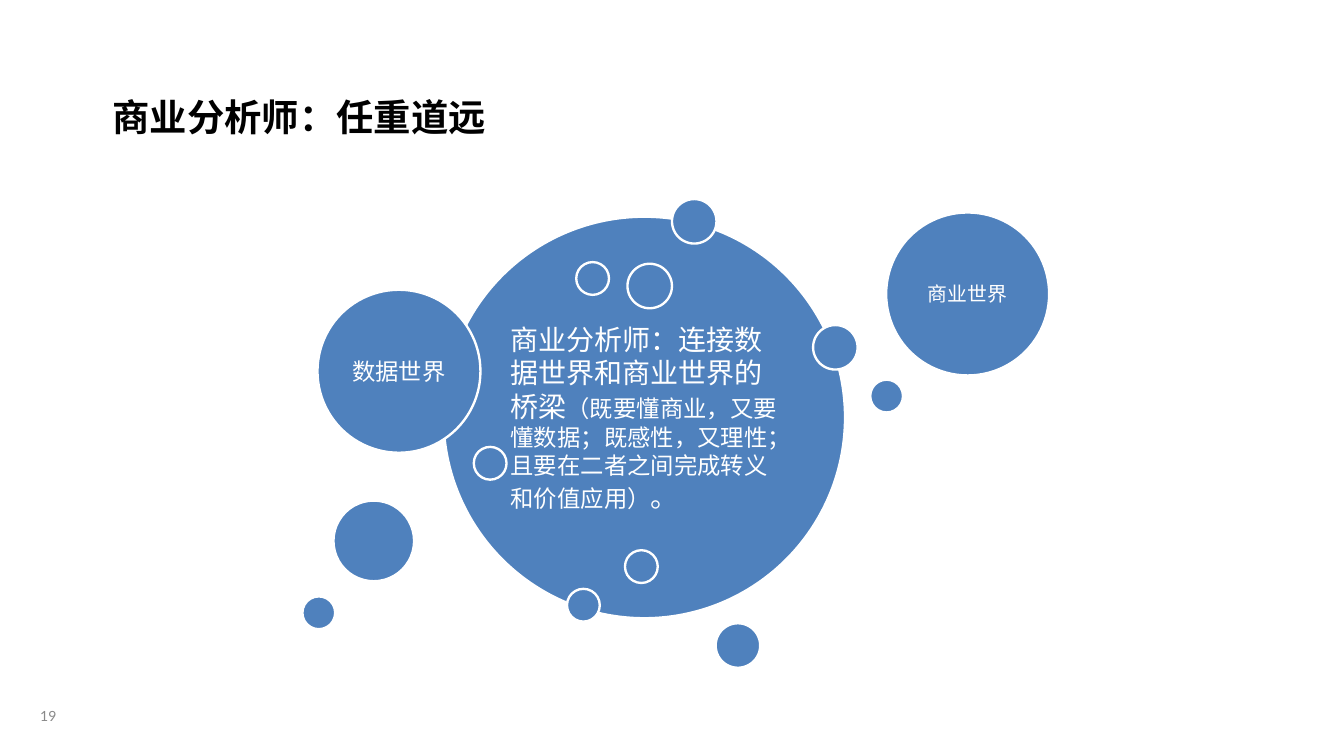
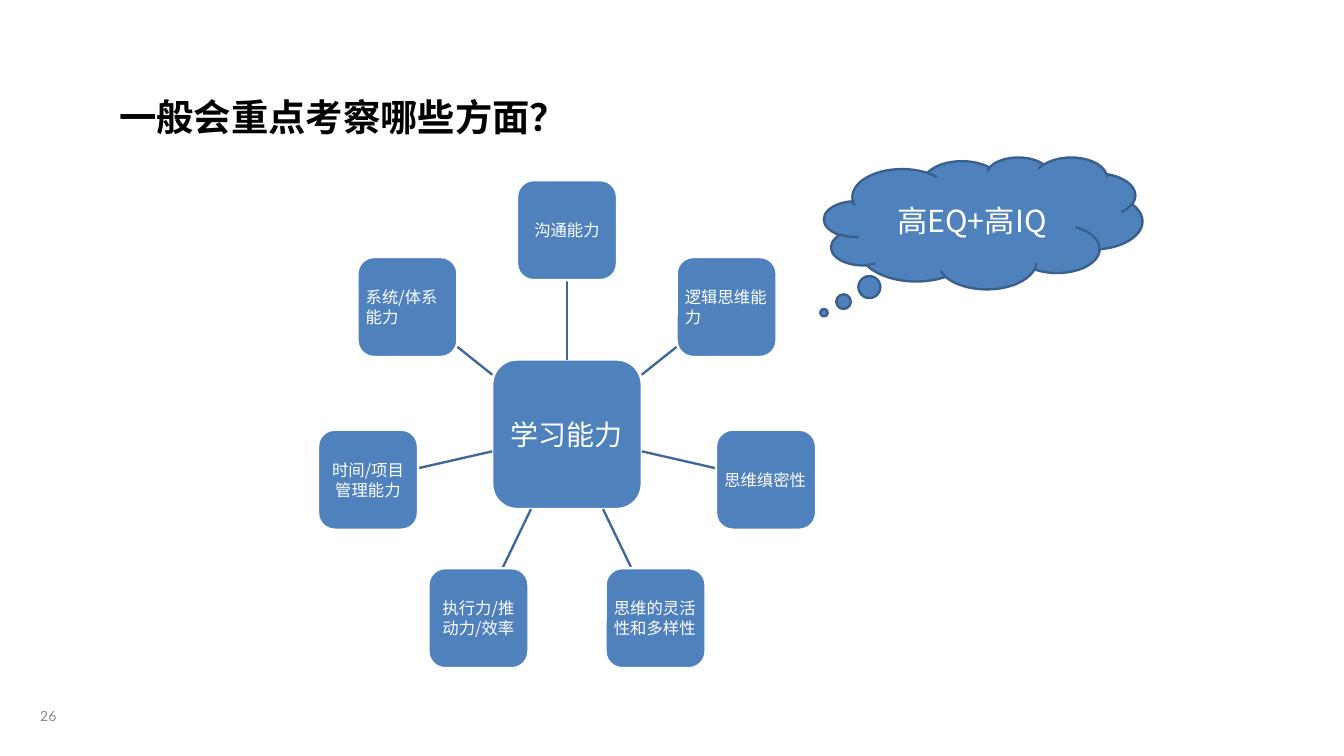
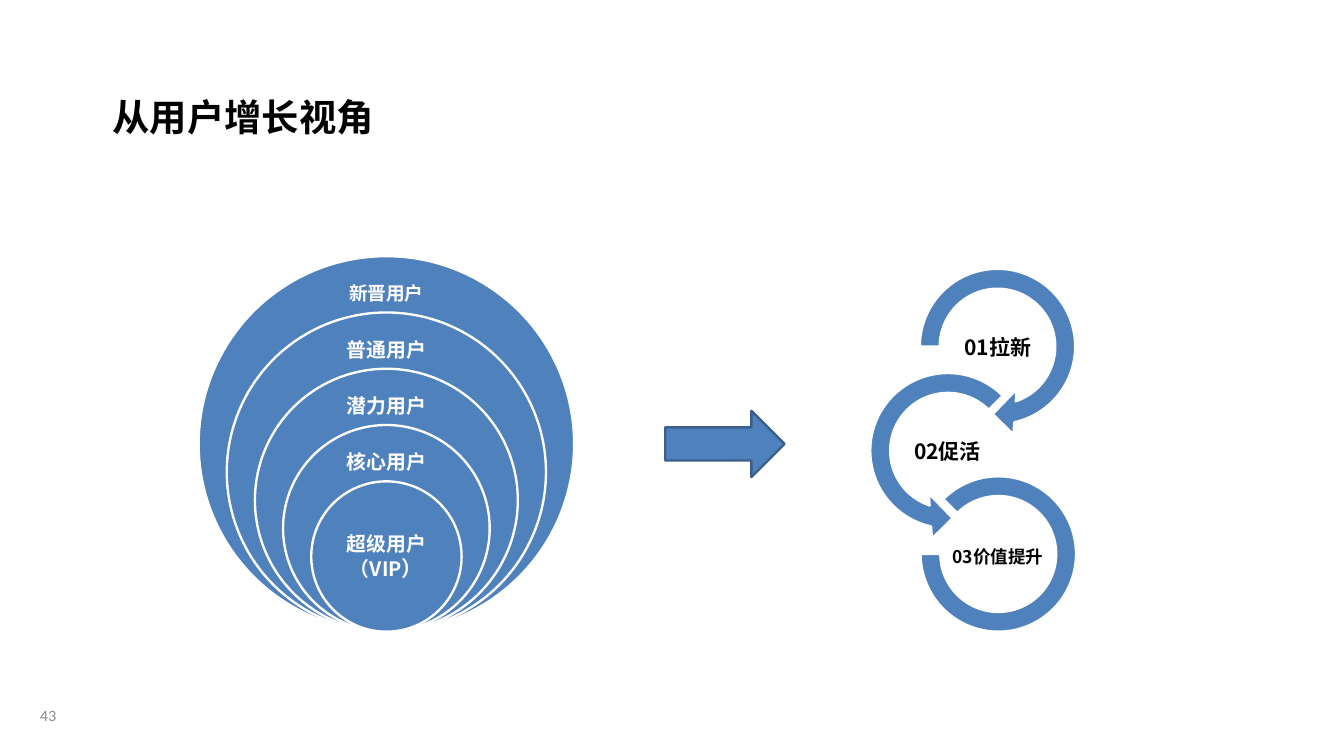
import math

import lxml.etree
import pptx
import pptx.dml.color
import pptx.enum.shapes
import pptx.enum.text
import pptx.oxml.ns
import pptx.util

RGBColor = pptx.dml.color.RGBColor
SHAPE = pptx.enum.shapes.MSO_SHAPE
ALIGN = pptx.enum.text.PP_ALIGN
ANCHOR = pptx.enum.text.MSO_ANCHOR
qn = pptx.oxml.ns.qn

BLUE = RGBColor(0x4F, 0x81, 0xBD)
EDGE = RGBColor(0x3A, 0x5F, 0x8C)
SPOKE = RGBColor(0x3F, 0x67, 0x97)
WHITE = RGBColor(0xFF, 0xFF, 0xFF)
BLACK = RGBColor(0, 0, 0)
GREY = RGBColor(0x89, 0x89, 0x89)
FONT = "Noto Sans CJK SC"

prs = pptx.Presentation()
prs.slide_width = pptx.util.Inches(16)
prs.slide_height = pptx.util.Inches(9)
COL = prs.slide_width / 16
ROW = prs.slide_height / 9


def draw(s, kind, x, y, w, h, line=WHITE, adj=()):
    box = round(x * COL), round(y * ROW), round(w * COL), round(h * ROW)
    if kind is None:
        return s.shapes.add_textbox(*box)
    sp = s.shapes.add_shape(kind, *box)
    sp.shadow.inherit = False
    sp.fill.solid()
    sp.fill.fore_color.rgb = BLUE
    sp.line.color.rgb = line
    sp.line.width = pptx.util.Pt(2)
    for i, value in enumerate(adj):
        sp.adjustments[i] = value
    return sp


def write(sp, text, size, color=WHITE, bold=False, align=ALIGN.CENTER, inset=0.1, font=FONT):
    tf = sp.text_frame
    tf.word_wrap = True
    tf.vertical_anchor = ANCHOR.MIDDLE
    tf.margin_left = tf.margin_right = tf.margin_top = tf.margin_bottom = round(inset * COL)
    p = tf.paragraphs[0]
    p.alignment = align
    p.font.size = pptx.util.Pt(size)
    p.font.bold = bold
    p.font.color.rgb = color
    p.font.name = font
    ea = lxml.etree.SubElement(p._p.pPr.find(qn("a:defRPr")), qn("a:ea"))
    ea.set("typeface", font)
    p.add_run().text = text
    return p


slides = []
for number, title, left in [
    (19, "商业分析师：任重道远", 1.24),
    (26, "一般会重点考察哪些方面？", 1.32),
    (43, "从用户增长视角", 1.24),
]:
    s = prs.slides.add_slide(prs.slide_layouts[6])
    write(draw(s, None, 0.2, 8.28, 0.75, 0.48), str(number), 12, GREY, inset=0.04, font="Lato")
    write(draw(s, None, left, 1.07, 7.13, 0.64), title, 32, BLACK, True, ALIGN.LEFT)
    slides.append(s)
bridge, skills, growth = slides

sp = draw(bridge, SHAPE.OVAL, 5.28, 2.58, 4.78, 4.78)
p = write(sp, "商业分析师：连接数据世界和商业世界的桥梁", 24, align=ALIGN.LEFT)
r = p.add_run()
r.text = "（既要懂商业，又要懂数据；既感性，又理性；且要在二者之间完成转义和价值应用）"
r.font.size = pptx.util.Pt(20)
p.add_run().text = "。"
for x, y, text, size in [(3.78, 3.45, "数据世界", 20), (10.55, 2.53, "商业世界", 17)]:
    write(draw(bridge, SHAPE.OVAL, x, y, 1.94, 1.94), text, size, inset=0.08)
for d, spots in [
    (0.39, [(6.75, 7.01), (10.36, 4.52), (6.86, 3.12), (5.64, 5.32), (3.6, 7.1), (7.44, 6.55)]),
    (0.53, [(8, 2.37), (8.52, 7.42), (7.47, 3.14), (9.68, 3.87)]),
    (0.96, [(3.97, 5.96)]),
]:
    for x, y in spots:
        draw(bridge, SHAPE.OVAL, x, y, d, d)

cx, cy, radius, hub, node = 6.75, 5.17, 2.43, 1.78, 1.19
abilities = [
    ("沟通能力", ALIGN.CENTER),
    ("逻辑思维能力", ALIGN.LEFT),
    ("思维缜密性", ALIGN.LEFT),
    ("思维的灵活性和多样性", ALIGN.LEFT),
    ("执行力/推动力/效率", ALIGN.CENTER),
    ("时间/项目管理能力", ALIGN.CENTER),
    ("系统/体系能力", ALIGN.LEFT),
]
write(draw(skills, SHAPE.ROUNDED_RECTANGLE, cx - hub / 2, cy - hub / 2, hub, hub),
      "学习能力", 24, inset=0.07)
for i, (text, align) in enumerate(abilities):
    angle = 2 * math.pi * i / len(abilities)
    dx, dy = math.sin(angle), -math.cos(angle)
    reach = max(abs(dx), abs(dy))
    start, end = hub / 2 / reach, radius - node / 2 / reach
    spoke = skills.shapes.add_connector(
        pptx.enum.shapes.MSO_CONNECTOR.STRAIGHT,
        round((cx + dx * start) * COL), round((cy + dy * start) * ROW),
        round((cx + dx * end) * COL), round((cy + dy * end) * ROW))
    spoke.line.color.rgb = SPOKE
    spoke.line.width = pptx.util.Pt(2)
    lxml.etree.SubElement(spoke._element.spPr, qn("a:effectLst"))
    sp = draw(skills, SHAPE.ROUNDED_RECTANGLE, cx + dx * radius - node / 2,
              cy + dy * radius - node / 2, node, node)
    write(sp, text, 14, align=align, inset=0.04)
cloud = draw(skills, SHAPE.CLOUD_CALLOUT, 9.81, 1.87, 3.79, 1.57, EDGE, (-0.5, 0.68))
write(cloud, "高EQ+高IQ", 26)

mid, bottom = 4.6, 7.52
users = [("新晋用户", 16), ("普通用户", 17), ("潜力用户", 17), ("核心用户", 17)]
for i, (text, size) in enumerate(users):
    d = 4.47 - 0.67 * i
    draw(growth, SHAPE.OVAL, mid - d / 2, bottom - d, d, d)
    label = draw(growth, None, mid - 0.84, bottom - d + 0.22, 1.68, 0.44)
    write(label, text, size, bold=True, inset=0.13)
d = 1.79
sp = draw(growth, SHAPE.OVAL, mid - d / 2, bottom - d, d, d)
p = write(sp, "超级用户（VIP", 17, bold=True, inset=0.13)
r = p.add_run()
r.text = "）"
r.font.size = pptx.util.Pt(18)

draw(growth, SHAPE.RIGHT_ARROW, 7.92, 4.89, 1.42, 0.79, EDGE)
for kind, x, y, d, adj, text, size, tx, ty in [
    (SHAPE.CIRCULAR_ARROW, 10.8, 3.05, 2.15, (0.11, 11.42, 45, 108, 0.125), "01拉新", 18, 11.28, 3.83),
    (SHAPE.LEFT_CIRCULAR_ARROW, 10.21, 4.29, 2.15, (0.11, 11.42, 63, 189, 0.125), "02促活", 18, 10.68, 5.07),
    (SHAPE.BLOCK_ARC, 10.96, 5.67, 1.85, (135, 108, 0.127), "03价值提升", 15, 11.28, 6.32),
]:
    draw(growth, kind, x, y, d, d, adj=adj)
    write(draw(growth, None, tx, ty, 1.2, 0.6), text, size, BLACK, True, inset=0.01)

prs.save("out.pptx")
